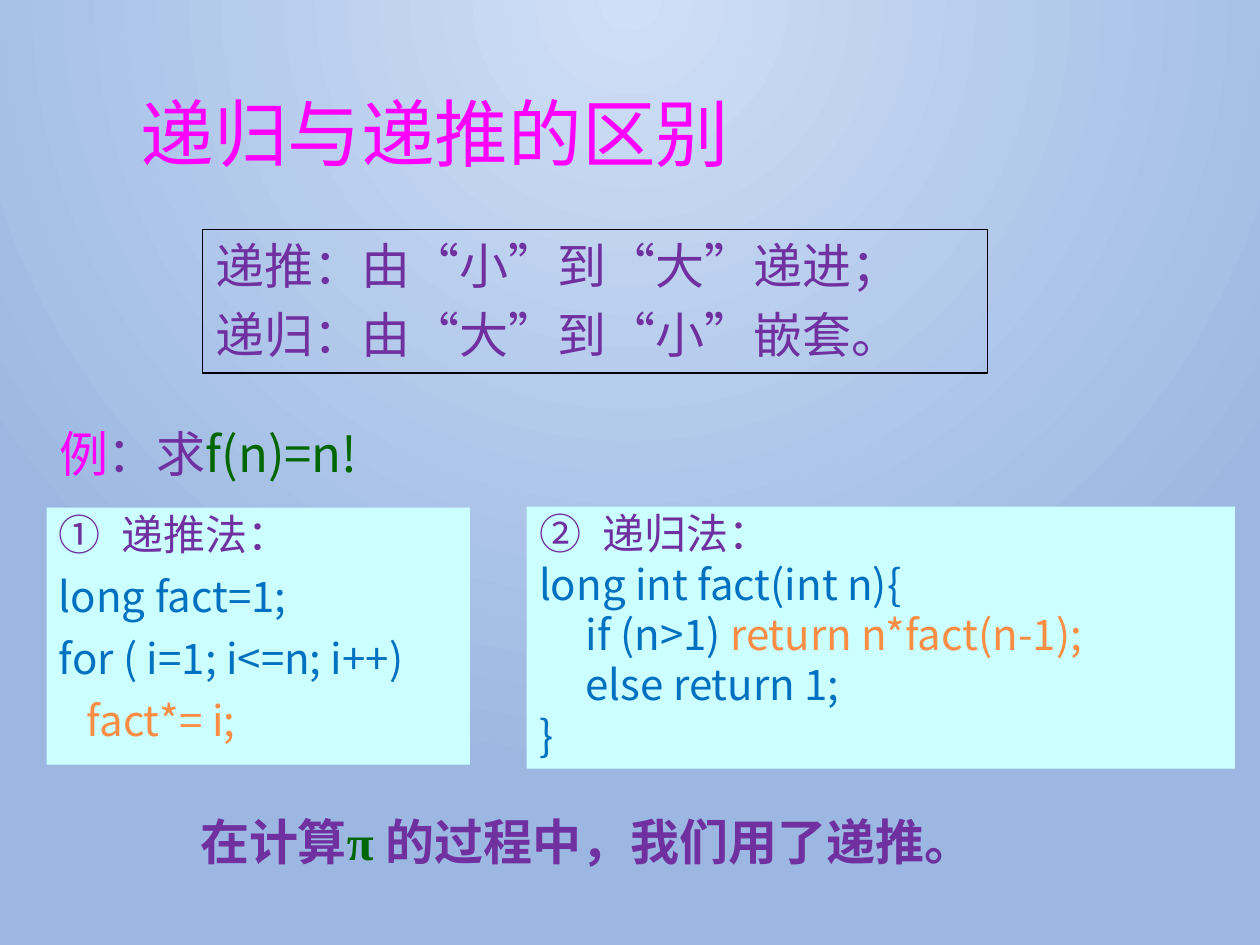
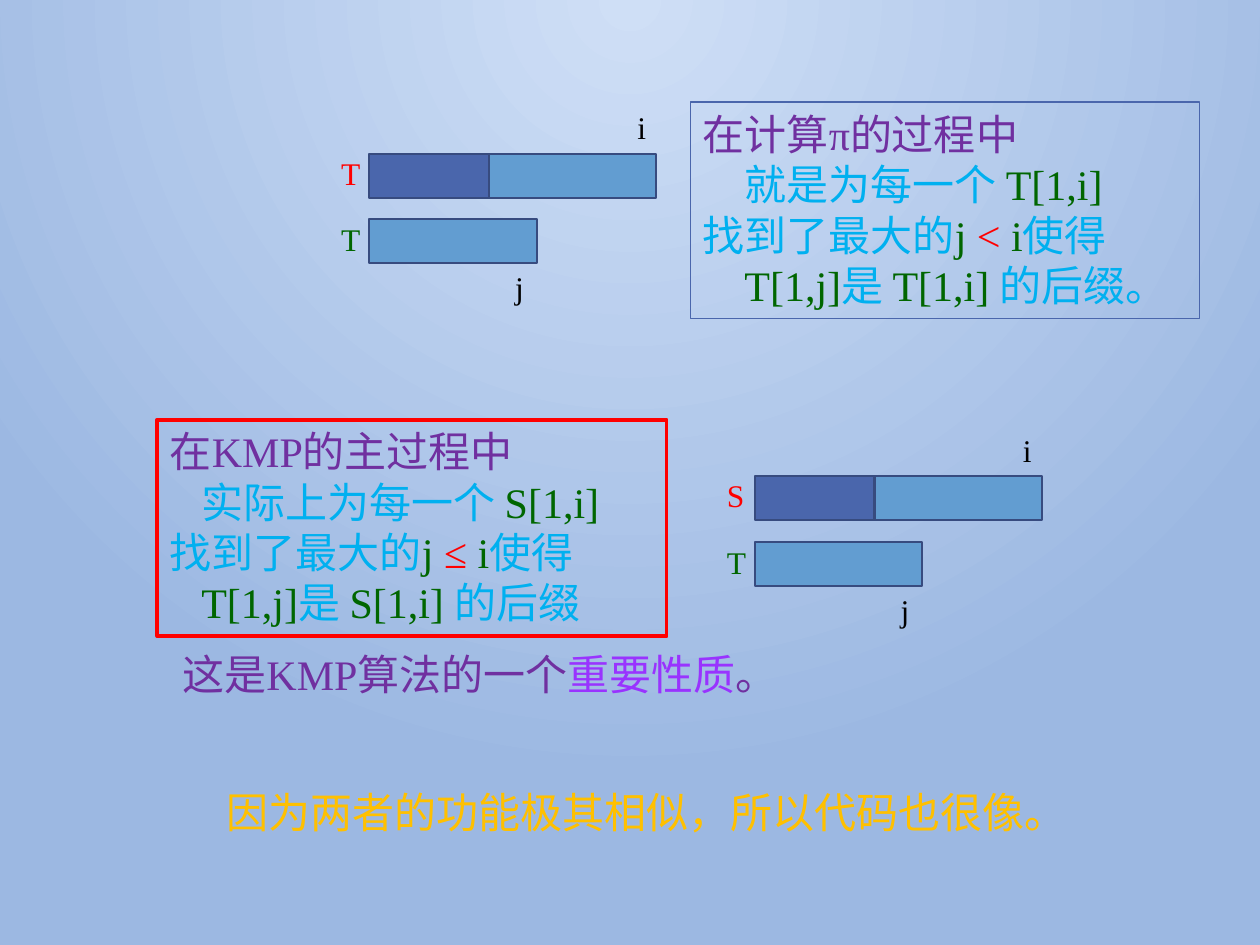
from lxml import etree
from pptx import Presentation
from pptx.dml.color import RGBColor as Rgb
from pptx.enum.shapes import MSO_SHAPE as Kind
from pptx.enum.text import MSO_ANCHOR as Anchor
from pptx.oxml.ns import qn
from pptx.util import Inches, Pt

SANS = "Noto Sans CJK SC"
SERIF = "Times New Roman"
SKY_IN = Rgb(0xCF, 0xDF, 0xF6)
SKY_OUT = Rgb(0x9C, 0xB8, 0xE2)
BLACK = Rgb(0, 0, 0)
RED = Rgb(0xFF, 0, 0)
PINK = Rgb(0xFF, 0, 0xFF)
PURPLE = Rgb(0x70, 0x30, 0xA0)
VIOLET = Rgb(0x99, 0x33, 0xFF)
GREEN = Rgb(0, 0x66, 0)
BLUE = Rgb(0, 0x70, 0xC0)
CYAN = Rgb(0, 0xB0, 0xF0)
ORANGE = Rgb(0xF9, 0x8D, 0x43)
GOLD = Rgb(0xFF, 0xC0, 0)
PALE = Rgb(0xCC, 0xFF, 0xFF)
DARK_BAR = Rgb(0x4A, 0x66, 0xAC)
LIGHT_BAR = Rgb(0x62, 0x9D, 0xD1)
BAR_EDGE = Rgb(0x37, 0x4B, 0x7F)


def new_slide(deck):
    """Add a blank slide with the shared radial background."""
    slide = deck.slides.add_slide(deck.slide_layouts[6])
    fill = slide.background.fill
    fill.gradient()
    for stop, colour, place in zip(fill.gradient_stops, (SKY_IN, SKY_OUT), (0, 1)):
        stop.color.rgb = colour
        stop.position = place
    grad = slide.background._cSld.find(".//" + qn("a:gradFill"))
    grad.remove(grad.find(qn("a:lin")))
    path = etree.SubElement(grad, qn("a:path"), {"path": "circle"})
    focus = {"l": "43000", "t": "0", "r": "43000", "b": "100000"}
    etree.SubElement(path, qn("a:fillToRect"), focus)
    return slide


def add_box(slide, box, fill=None, edge=None, width=0.75):
    rect = slide.shapes.add_shape(Kind.RECTANGLE, *map(Inches, box))
    rect.shadow.inherit = False
    if fill is None:
        rect.fill.background()
    else:
        rect.fill.solid()
        rect.fill.fore_color.rgb = fill
    if edge is None:
        rect.line.fill.background()
    else:
        rect.line.color.rgb = edge
        rect.line.width = Pt(width)
    return rect


def add_run(para, text, colour, size, font, bold):
    run = para.add_run()
    run.text = text
    run.font.size = Pt(size)
    run.font.name = font
    run.font.bold = bold
    run.font.color.rgb = colour
    etree.SubElement(run._r.rPr, qn("a:ea"), {"typeface": SANS})


def write(shape, lines, size, font=SANS, bold=False, gap=0, pitch=None):
    """Fill a shape; each line is its left indent, then (text, colour[, font]) runs."""
    frame = shape.text_frame
    frame.word_wrap = True
    frame.vertical_anchor = Anchor.TOP
    for row, (indent, *runs) in enumerate(lines):
        para = frame.add_paragraph() if row else frame.paragraphs[0]
        para.alignment = 1
        para.line_spacing = pitch
        if row:
            para.space_before = Pt(gap)
        para._p.get_or_add_pPr().set("marL", str(Inches(indent)))
        for text, colour, *face in runs:
            add_run(para, text, colour, size, face[0] if face else font, bold)
    return frame


def add_text(slide, box, runs, size, font=SANS, bold=False):
    shape = slide.shapes.add_textbox(*map(Inches, box))
    write(shape, [(0, *runs)], size, font, bold)


def number(para, start):
    """Give a paragraph a circled number with a hanging indent."""
    props = para._p.get_or_add_pPr()
    props.set("marL", str(Inches(0.5)))
    props.set("indent", str(-Inches(0.5)))
    kind = {"type": "circleNumDbPlain", "startAt": str(start)}
    etree.SubElement(props, qn("a:buAutoNum"), kind)


def add_code(slide, box, start, lines, gap=0, pitch=None):
    frame = write(add_box(slide, box, PALE), lines, 24, gap=gap, pitch=pitch)
    head = frame.paragraphs[0]
    head.line_spacing = 0.9
    number(head, start)


def add_bars(slide, left, top, name):
    """Draw string `name` up to i above the pattern T up to j."""
    high, short, drop = 0.35, 1.33, 0.52
    for x, y, wide, fill in ((0, 0, 2.25, DARK_BAR),
                             (0, drop, short, LIGHT_BAR),
                             (0.95, 0, short, LIGHT_BAR)):
        add_box(slide, (left + x, top + y, wide, high), fill, BAR_EDGE, 1.25)
    for x, y, wide, text, colour in ((2.03, -0.41, 0.29, "i", BLACK),
                                     (1.06, 0.86, 0.29, "j", BLACK),
                                     (-0.32, -0.05, 0.44, name, RED),
                                     (-0.32, 0.48, 0.44, "T", GREEN)):
        box = (left + x, top + y, wide, 0.4)
        add_text(slide, box, [(text, colour)], 18, SERIF)


def add_claim(slide, left, top, edge, width, indent, head, verb, name, sign, end):
    """Write the suffix property that one process establishes."""
    lines = [
        (0, (head, PURPLE)),
        (indent, (verb + " ", CYAN), (name + "[1,i]", GREEN)),
        (0, ("找到了最大的", CYAN), ("j ", GREEN), (sign + " ", RED),
         ("i", GREEN), ("使得", CYAN)),
        (indent, ("T[1,j]", GREEN), ("是 ", CYAN),
         (name + "[1,i] ", GREEN), (end, CYAN)),
    ]
    rect = add_box(slide, (left, top, 4.04, 1.72), None, edge, width)
    write(rect, lines, 24, SERIF)


def contrast_slide(deck):
    slide = new_slide(deck)
    add_text(slide, (1.02, 0.65, 8.05, 0.81), [("递归与递推的区别", PINK)], 42)
    rule = add_box(slide, (1.61, 1.82, 6.23, 1.14), None, BLACK)
    write(rule, [(0, ("递推：由“小”到“大”递进；", PURPLE)),
                 (0, ("递归：由“大”到“小”嵌套。", PURPLE))], 28, gap=5.6)
    add_text(slide, (0.37, 3.31, 2.68, 0.53),
             [("例", PINK), ("：求", PURPLE), ("f(n)=n!", GREEN)], 28)
    add_code(slide, (0.37, 4.03, 3.36, 2.04), 1, [
        (0, ("递推法：", PURPLE)),
        (0, ("long fact=1;", BLUE)),
        (0, ("for ( i=1; i<=n; i++)", BLUE)),
        (0.22, ("fact*= i;", ORANGE)),
    ], 9.6, 0.9)
    add_code(slide, (4.18, 4.02, 5.62, 2.08), 2, [
        (0, ("递归法：", PURPLE)),
        (0, ("long int fact(int n){", BLUE)),
        (0.37, ("if (n>1) ", BLUE), ("return n*fact(n-1);", ORANGE)),
        (0.37, ("else return 1;", BLUE)),
        (0, ("}", BLUE)),
    ])
    add_text(slide, (1.49, 6.39, 7.58, 0.57),
             [("在计算", PURPLE), ("π ", GREEN, SERIF),
              ("的过程中，我们用了递推。", PURPLE, SERIF)], 28, bold=True)


def suffix_slide(deck):
    slide = new_slide(deck)
    add_claim(slide, 5.48, 0.81, DARK_BAR, 0.75, 0.33, "在计算π的过程中",
              "就是为每一个", "T", "<", "的后缀。")
    add_claim(slide, 1.25, 3.33, RED, 2.25, 0.25, "在KMP的主过程中",
              "实际上为每一个", "S", "≤", "的后缀")
    add_bars(slide, 2.93, 1.22, "T")
    add_bars(slide, 5.99, 3.78, "S")
    add_text(slide, (1.35, 5.1, 5.65, 0.5),
             [("这是KMP算法的一个", PURPLE), ("重要性质", VIOLET),
              ("。", PURPLE)], 24, SERIF)
    add_text(slide, (1.7, 6.19, 7.02, 0.5),
             [("因为两者的功能极其相似，所以代码也很像。", GOLD)], 24, SERIF)


def main():
    deck = Presentation()
    deck.slide_width = Inches(10)
    deck.slide_height = Inches(7.5)
    contrast_slide(deck)
    suffix_slide(deck)
    deck.save("out.pptx")


if __name__ == "__main__":
    main()
